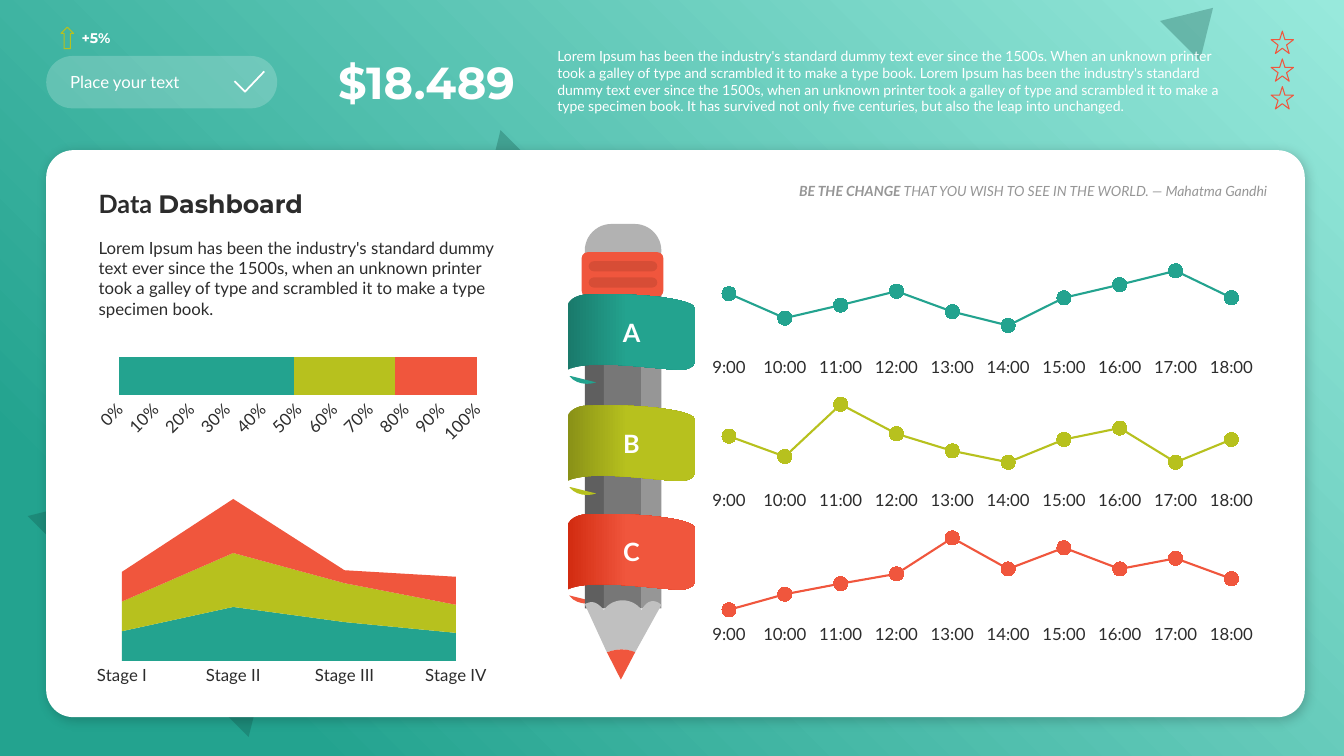
from lxml import etree
from pptx import Presentation
from pptx.chart.data import CategoryChartData
from pptx.dml.color import RGBColor
from pptx.enum import chart as ch, shapes, text
from pptx.oxml.ns import qn
from pptx.util import Pt

TEAL, TEAL_DARK, TEAL_DEEP = RGBColor(0x23, 0xA3, 0x8F), RGBColor(0x1A, 0x7A, 0x6B), RGBColor(0x11, 0x52, 0x48)
LIME, LIME_DARK, LIME_DEEP = RGBColor(0xB7, 0xC1, 0x1E), RGBColor(0x89, 0x91, 0x17), RGBColor(0x5B, 0x60, 0x0F)
CORAL, CORAL_DARK, CORAL_DEEP = RGBColor(0xF0, 0x56, 0x3D), RGBColor(0xD2, 0x2B, 0x10), RGBColor(0x8C, 0x1D, 0x0B)
MINT, WHITE, BLACK = RGBColor(0x98, 0xE9, 0xDC), RGBColor(255, 255, 255), RGBColor(0, 0, 0)
INK, GREY, RULE = RGBColor(0x2C, 0x2C, 0x2C), RGBColor(0x96, 0x96, 0x96), RGBColor(0xDF, 0xDF, 0xDF)
CORE, SHADE = RGBColor(0x77, 0x77, 0x77), RGBColor(0x5F, 0x5F, 0x5F)
WOOD, ERASER = RGBColor(0xC0, 0xC0, 0xC0), RGBColor(0xB2, 0xB2, 0xB2)
SERIES = (TEAL, LIME, CORAL)
SHAPE, ALIGN, ANCHOR = shapes.MSO_SHAPE, text.PP_ALIGN, text.MSO_ANCHOR
HOURS = [f"{h}:00" for h in range(9, 19)]
INTRO = "Lorem Ipsum has been the industry's standard dummy text ever since the 1500s"
SCRAMBLED = "took a galley of type and scrambled it to make a type"


def paint(sp, color, alpha=100):
    """Give a shape a solid fill, no line and no shadow."""
    sp.shadow.inherit = False
    sp.line.fill.background()
    sp.fill.solid()
    sp.fill.fore_color.rgb = color
    if alpha < 100:
        clr = sp._element.spPr.find(".//" + qn("a:srgbClr"))
        etree.SubElement(clr, qn("a:alpha"), val=str(alpha * 1000))


def blend(sp, start, start_at, end, end_at, angle=0):
    """Give a shape a two-stop linear gradient."""
    paint(sp, start)
    sp.fill.gradient()
    sp.fill.gradient_angle = angle
    for stop, color, at in zip(sp.fill.gradient_stops, (start, end), (start_at, end_at)):
        stop.color.rgb, stop.position = color, at


def add(s, kind, x, y, w, h, color, alpha=100, adj=None, rot=0):
    """Add a filled preset shape."""
    sp = s.shapes.add_shape(kind, Pt(x), Pt(y), Pt(w), Pt(h))
    paint(sp, color, alpha)
    if adj is not None:
        sp.adjustments[0] = adj
    sp.rotation = rot
    return sp


def outline(s, x, y, start, segments, close=True):
    """Add a freeform of lines (2 numbers) and Bezier curves (6 numbers)."""
    points = [start]
    for seg in segments:
        if len(seg) == 2:
            points.append(seg)
            continue
        knots = [points[-1], seg[:2], seg[2:4], seg[4:]]
        for i in range(1, 17):
            t = i / 16
            weights = ((1 - t) ** 3, 3 * t * (1 - t) ** 2, 3 * t * t * (1 - t), t ** 3)
            points.append(tuple(sum(k * q[a] for k, q in zip(weights, knots)) for a in (0, 1)))
    pts = [(Pt(x + px), Pt(y + py)) for px, py in points]
    fb = s.shapes.build_freeform(*pts[0], scale=1.0)
    fb.add_line_segments(pts[1:], close=close)
    return fb.convert_to_shape()


def write(tf, runs, size, color, align=ALIGN.LEFT, anchor=ANCHOR.MIDDLE):
    """Fill a text frame with (text, font, bold, italic) runs."""
    tf.word_wrap = True
    tf.vertical_anchor = anchor
    p = tf.paragraphs[0]
    p.alignment = align
    for words, font, bold, italic in runs:
        r = p.add_run()
        r.text = words
        r.font.name, r.font.size, r.font.bold, r.font.italic = font, Pt(size), bold, italic
        r.font.color.rgb = color
    return p


def label(s, x, y, w, h, runs, size, color, side=7.2, **kw):
    """Add a text box."""
    tf = s.shapes.add_textbox(Pt(x), Pt(y), Pt(w), Pt(h)).text_frame
    tf.margin_left = tf.margin_right = Pt(side)
    return write(tf, runs, size, color, **kw)


def add_chart(s, kind, x, y, w, h, cats, rows, colors):
    """Add a chart without legend or title and colour its series."""
    data = CategoryChartData()
    data.categories = cats
    for i, row in enumerate(rows, 1):
        data.add_series(f"Series {i}", row)
    c = s.shapes.add_chart(kind, Pt(x), Pt(y), Pt(w), Pt(h), data).chart
    c.has_legend = c.has_title = False
    c.font.name, c.font.size, c.font.color.rgb = "Lato", Pt(12), INK
    c.plots[0].vary_by_categories = False
    c.value_axis.has_major_gridlines = False
    for axis in (c.category_axis, c.value_axis):
        axis.major_tick_mark = axis.minor_tick_mark = ch.XL_TICK_MARK.NONE
        axis.format.line.fill.background()
    for ser, color in zip(c.plots[0].series, colors):
        ser.format.fill.solid()
        ser.format.fill.fore_color.rgb = color
    return c


def backdrop(s, x, y, w, h):
    """Draw the radial backdrop and its tilted triangles."""
    sp = add(s, SHAPE.RECTANGLE, x, y, w, h, TEAL)
    blend(sp, MINT, 0, TEAL, 0.85)
    grad = sp._element.spPr.find(qn("a:gradFill"))
    grad.remove(grad.find(qn("a:lin")))
    ring = etree.SubElement(grad, qn("a:path"), path="circle")
    etree.SubElement(ring, qn("a:fillToRect"), l="100000", b="100000")
    for dx, dy, tw, rot in ((52.6, 289.4, 223.2, 45), (329, 108, 64.8, 225), (834.5, 0.7, 40.3, 45)):
        add(s, SHAPE.ISOSCELES_TRIANGLE, x + dx, y + dy, tw, tw * 0.83, TEAL_DEEP, 30, rot=rot)


def header(s, x, y, w, h):
    """Draw the pill, the figure, the summary and the stars."""
    add(s, SHAPE.ROUNDED_RECTANGLE, x, y + 22, 165, 37.4, WHITE, 20, 0.5)
    tick = outline(s, x + 134.5, y + 33, (0, 7), [(7.5, 14.5), (21.3, 0)], close=False)
    tick.shadow.inherit = False
    tick.fill.background()
    tick.line.color.rgb, tick.line.width = WHITE, Pt(1.25)
    label(s, x + 10, y + 29.5, 135, 21.6, [("Place your text", "Lato", False, False)], 12, WHITE)
    label(s, x + 196.5, y + 17, 145.5, 46, [("$18.489", "Montserrat", True, False)], 32, WHITE, align=ALIGN.RIGHT)
    summary = (f"{INTRO}. When an unknown printer {SCRAMBLED} book. {INTRO}, when an unknown printer "
               f"{SCRAMBLED} specimen book. It has survived not only five centuries, "
               "but also the leap into unchanged.")
    p = label(s, x + 358, y + 12.2, 502.6, 55.4, [(summary, "Lato", False, False)], 10, WHITE)
    p.space_after = Pt(6)
    label(s, x + 20, y - 0.7, 31, 19.4, [("+5%", "Montserrat", True, False)], 10, WHITE, 0, align=ALIGN.CENTER)
    icons = [(SHAPE.UP_ARROW, x + 10.6, y + 1.4, 9, 15.4, LIME)]
    icons += [(SHAPE.STAR_5_POINT, x + w - 24, y + 4.3 + 19.8 * i, 16, 16, CORAL) for i in range(3)]
    for icon in icons:
        sp = add(s, *icon)
        sp.fill.background()
        sp.line.color.rgb, sp.line.width = icon[-1], Pt(0.75)


def card(s, x, y, w, h):
    """Draw the white card with its soft shadow."""
    sp = add(s, SHAPE.ROUNDED_RECTANGLE, x, y, w, h, WHITE, adj=0.048)
    fx = sp._element.spPr.find(qn("a:effectLst"))
    shade = etree.SubElement(fx, qn("a:outerShdw"), blurRad=str(Pt(8)), dist=str(Pt(3)), dir="2700000")
    clr = etree.SubElement(shade, qn("a:srgbClr"), val="000000")
    etree.SubElement(clr, qn("a:alpha"), val="20000")


def summary_column(s, x, y, w, h):
    """Place the title, paragraph, share bar and stage areas."""
    title = [("Data ", "Lato", True, False), ("Dashboard", "Montserrat", True, False)]
    label(s, x, y, w, 29, title, 18, INK, anchor=ANCHOR.BOTTOM)
    body = f"{INTRO}, when an unknown printer {SCRAMBLED} specimen book."
    label(s, x, y + 35.3, w, 65.5, [(body, "Lato", False, False)], 12, INK, anchor=ANCHOR.TOP)
    c = add_chart(s, ch.XL_CHART_TYPE.BAR_STACKED_100, x - 0.7, y + 123, 288.7, 64, ["1"], [[49], [28], [23]], SERIES)
    c.plots[0].gap_width, c.plots[0].overlap = 0, 100
    c.category_axis.visible = False
    c.value_axis.maximum_scale, c.value_axis.major_unit = 1, 0.1
    c.value_axis.tick_labels.number_format = "0%"
    c.value_axis.tick_labels.number_format_is_linked = False
    c.value_axis.tick_labels.font.size = Pt(12)
    c.value_axis._element.find(".//" + qn("a:bodyPr")).set("rot", "-2700000")
    stages = [f"Stage {n}" for n in ("I", "II", "III", "IV")]
    rows = [[55, 100, 72, 52], [55, 100, 72, 52], [55, 100, 24, 52]]
    c = add_chart(s, ch.XL_CHART_TYPE.AREA_STACKED, x, y + 203, 290, 158.4, stages, rows, SERIES)
    c.value_axis.visible = False
    c.category_axis.format.line.color.rgb, c.category_axis.format.line.width = RULE, Pt(0.75)


def pencil(s, x, y, w, h):
    """Draw the pencil from shaft to tip and eraser."""
    for dx, sw, color in ((2.2, 13.7, SHADE), (15.9, 26.6, CORE), (42.5, 14.4, GREY)):
        add(s, SHAPE.RECTANGLE, x + dx, y + 48.2, sw, 226.3, color)
    wood = [(5, -2.3, 8, -2.3, 13.7, 4.2), (20, -5, 34, -5, 40.6, 4.2), (47, -7.5, 54.7, 0.6, 54.7, 0.6),
            (36, 34.4), (26, 30, 16, 34.4, 15.8, 34.4)]
    paint(outline(s, x + 2.2, y + 271.5, (0, 0), wood), WOOD)
    paint(outline(s, x + 18, y + 305.5, (0, 0.4), [(1, 0.4, 10, -4, 20.2, 0.4), (10, 20)]), CORAL)
    add(s, SHAPE.RECTANGLE, x + 2.2, y + 45.4, 54.7, 10, BLACK, 20)
    add(s, SHAPE.ROUNDED_RECTANGLE, x + 2.2, y, 54.7, 38.2, ERASER, adj=0.5)
    add(s, SHAPE.ROUNDED_RECTANGLE, x, y + 20.2, w, 31.7, CORAL, adj=0.128)
    for dy in (26.6, 38.2):
        add(s, SHAPE.ROUNDED_RECTANGLE, x + 5, y + dy, 49, 7.2, BLACK, 10, 0.5)


def curl(s, x, y, color, deep):
    """Draw the folded end under a ribbon placed at x, y."""
    sp = add(s, SHAPE.CHORD, x, y + 44, 28, 20, color)
    sp.adjustments[0], sp.adjustments[1] = 32.77, 97.2
    blend(sp, color, 0.27, deep, 0.69, 70)


def ribbon(s, x, y, color, dark, letter):
    """Draw a lettered ribbon wrapped round the pencil."""
    edge = [(92.2, 2.9, 48.2, -1.4, 12.2, 0.3), (6.5, 0.7, 0, 4.3, 0, 8.6), (0, 54),
            (15.8, 45.4, 65.5, 54, 80.6, 54), (86.4, 54, 91.4, 51.1, 91.4, 47.5)]
    sp = outline(s, x, y, (91.4, 10.8), edge)
    blend(sp, dark, 0, color, 0.47)
    write(sp.text_frame, [(letter, "Lato", True, False)], 18, WHITE, ALIGN.CENTER)


def hourly(s, x, y, w, h, values, color):
    """Place one hourly line chart."""
    c = add_chart(s, ch.XL_CHART_TYPE.LINE_MARKERS, x, y, w, h, HOURS, [values], [color])
    c.value_axis.visible = False
    c.value_axis.minimum_scale, c.value_axis.maximum_scale = 0, 120
    ser = c.plots[0].series[0]
    ser.smooth = False
    ser.format.line.color.rgb, ser.format.line.width = color, Pt(1.5)
    ser.marker.style, ser.marker.size = ch.XL_MARKER_STYLE.CIRCLE, 10
    ser.marker.format.fill.solid()
    ser.marker.format.fill.fore_color.rgb = ser.marker.format.line.color.rgb = color


def main():
    """Build the dashboard slide."""
    prs = Presentation()
    prs.slide_width, prs.slide_height = Pt(960), Pt(540)
    s = prs.slides.add_slide(prs.slide_layouts[6])
    backdrop(s, 0, 0, 960, 540)
    header(s, 33, 18, 899, 70)
    card(s, 33, 107.3, 899, 405)
    summary_column(s, 63.4, 131, 311.8, 361)
    curl(s, 405.4, 367.2, CORAL, CORAL_DEEP)
    pencil(s, 415.5, 160, 58.3, 325.5)
    ribbon(s, 405.4, 367.2, CORAL, CORAL_DARK, "C")
    for y, color, dark, deep, letter in ((289.6, LIME, LIME_DARK, LIME_DEEP, "B"),
                                         (210.2, TEAL, TEAL_DARK, TEAL_DEEP, "A")):
        curl(s, 405.4, y, color, deep)
        ribbon(s, 405.4, y, color, dark, letter)
    quote = [("BE THE CHANGE ", "Lato", True, True),
             ("THAT YOU WISH TO SEE IN THE WORLD. ― Mahatma Gandhi", "Lato", False, True)]
    label(s, 403.2, 126.7, 504.7, 19.4, quote, 10, GREY, 2.9, align=ALIGN.RIGHT)
    readings = ([72, 42, 58, 75, 50, 33, 67, 83, 100, 67], [61, 36, 100, 64, 43, 29, 57, 71, 29, 57],
                [12, 31, 44, 56, 100, 62, 88, 62, 75, 50])
    for i, (values, color) in enumerate(zip(readings, SERIES)):
        hourly(s, 492.5, 180 + 95.4 * i, 415.4, 90.7, values, color)
    prs.save("out.pptx")


if __name__ == "__main__":
    main()
